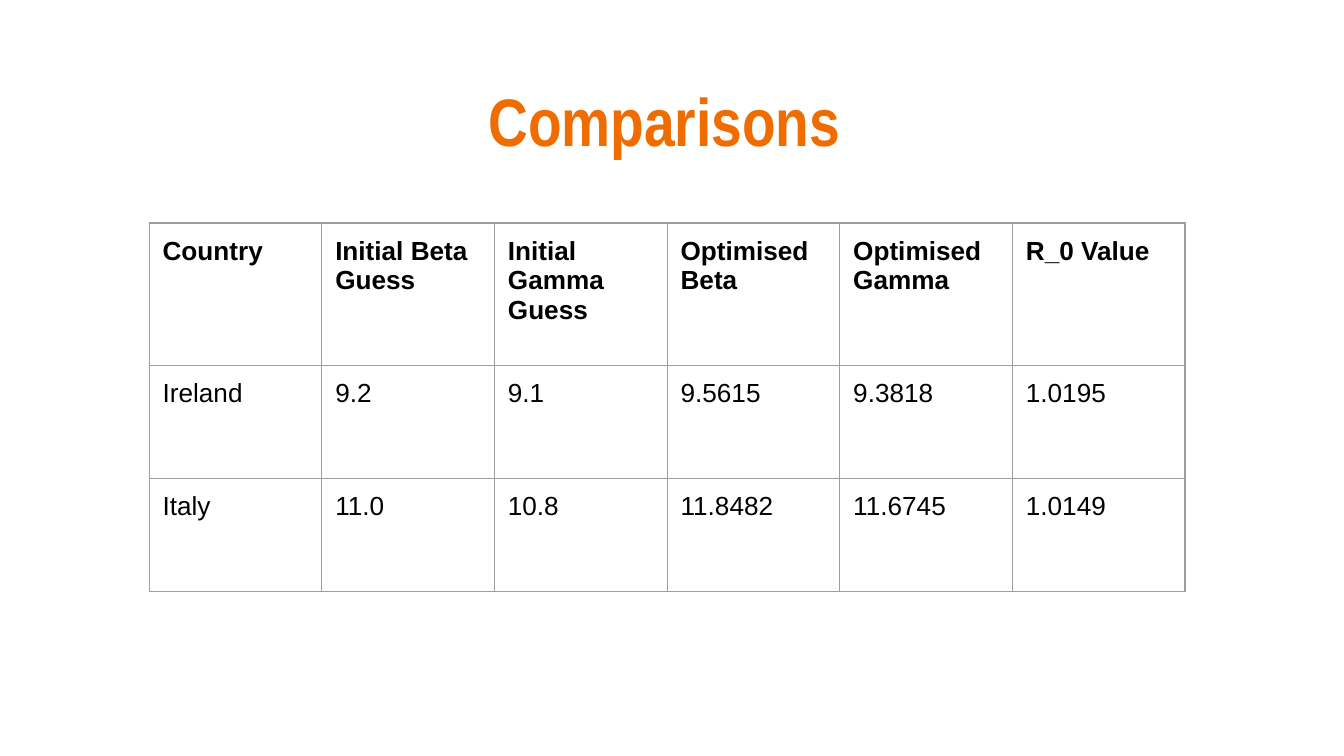
from dataclasses import dataclass

from lxml import etree
from pptx import Presentation
from pptx import util as u
from pptx.dml.color import RGBColor
from pptx.enum import text
from pptx.oxml import ns


@dataclass(frozen=True)
class Theme:
    title_font: str = "Arial Narrow"
    body_font: str = "Arial"
    title_size: int = 36
    body_size: int = 14
    title_color: str = "EF6C00"
    body_color: str = "000000"
    border_color: str = "9E9E9E"
    border_width: float = 0.75
    inset: float = 0.1


THEME = Theme()
SLIDE_WIDTH = 10
SLIDE_HEIGHT = SLIDE_WIDTH * 9 / 16
ROWS = [
    ["Country", "Initial Beta Guess", "Initial Gamma Guess",
     "Optimised Beta", "Optimised Gamma", "R_0 Value"],
    ["Ireland", "9.2", "9.1", "9.5615", "9.3818", "1.0195"],
    ["Italy", "11.0", "10.8", "11.8482", "11.6745", "1.0149"],
]
TABLE_WIDTH = 7.71
ROW_HEIGHTS = [1.06, 0.84, 0.84]


def set_margins(target):
    for side in ("left", "right", "top", "bottom"):
        setattr(target, f"margin_{side}", u.Inches(THEME.inset))


def add_run(p, content, font, size, color, bold):
    r = p.add_run()
    r.text = content
    r.font.name = font
    r.font.size = u.Pt(size)
    r.font.bold = bold
    r.font.color.rgb = RGBColor.from_string(color)


def add_title(s, content):
    sp = s.shapes.add_textbox(u.Inches(0.34), u.Inches(0.49),
                              u.Inches(9.32), u.Inches(0.77))
    tf = sp.text_frame
    tf.word_wrap = True
    set_margins(tf)
    p = tf.paragraphs[0]
    p.alignment = text.PP_ALIGN.CENTER
    add_run(p, content, THEME.title_font, THEME.title_size,
            THEME.title_color, True)


def set_borders(cell):
    props = cell._tc.get_or_add_tcPr()
    for i, edge in enumerate(("lnL", "lnR", "lnT", "lnB")):
        ln = etree.Element(ns.qn(f"a:{edge}"),
                           w=str(u.Pt(THEME.border_width)))
        fill = etree.SubElement(ln, ns.qn("a:solidFill"))
        etree.SubElement(fill, ns.qn("a:srgbClr"), val=THEME.border_color)
        props.insert(i, ln)


def fill_cell(cell, content, bold):
    set_margins(cell)
    cell.fill.background()
    set_borders(cell)
    add_run(cell.text_frame.paragraphs[0], content, THEME.body_font,
            THEME.body_size, THEME.body_color, bold)


def add_comparison_table(s):
    n_cols = len(ROWS[0])
    table = s.shapes.add_table(
        len(ROWS), n_cols, u.Inches(1.11), u.Inches(1.66),
        u.Inches(TABLE_WIDTH), u.Inches(sum(ROW_HEIGHTS))).table
    table.first_row = False
    table.horz_banding = False
    for i, (row, height) in enumerate(zip(ROWS, ROW_HEIGHTS)):
        table.rows[i].height = u.Inches(height)
        for j, content in enumerate(row):
            fill_cell(table.cell(i, j), content, bold=i == 0)


def main():
    prs = Presentation()
    prs.slide_width = u.Inches(SLIDE_WIDTH)
    prs.slide_height = u.Inches(SLIDE_HEIGHT)
    s = prs.slides.add_slide(prs.slide_layouts[6])
    add_title(s, "Comparisons ")
    add_comparison_table(s)
    prs.save("out.pptx")


if __name__ == "__main__":
    main()
